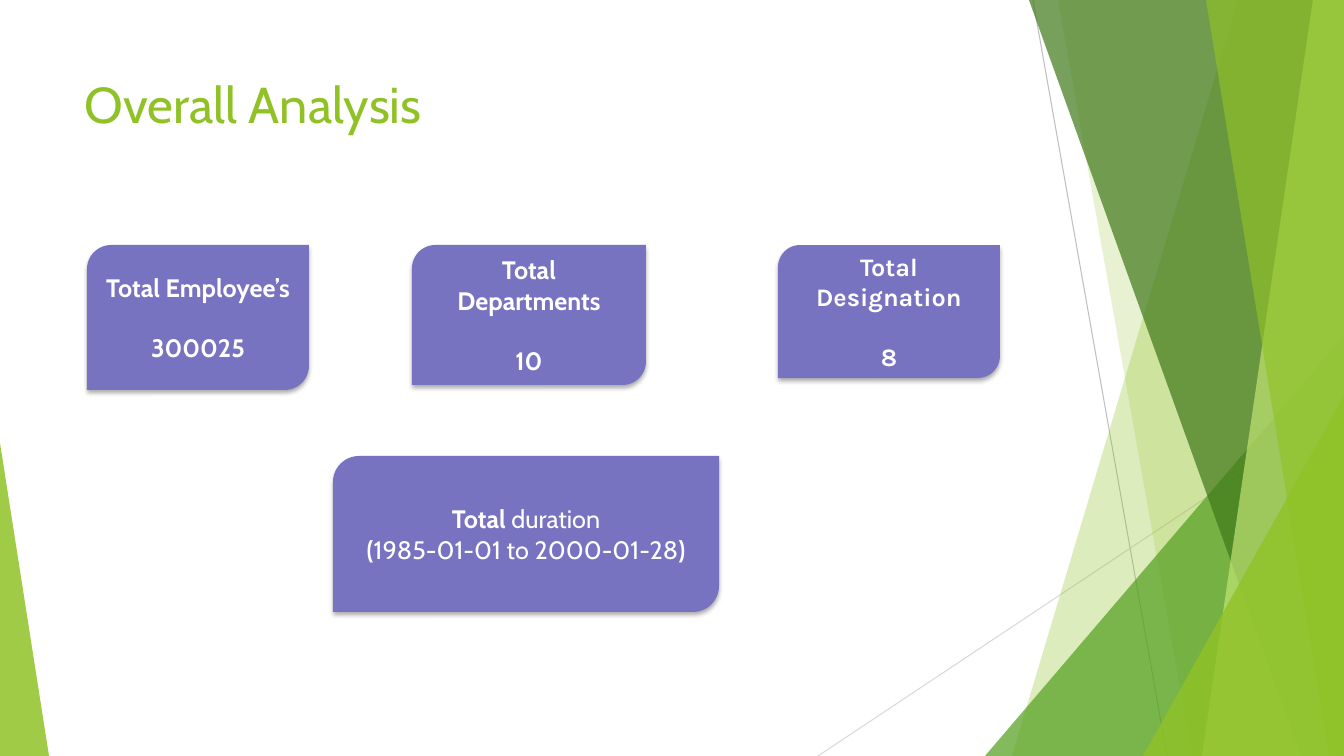
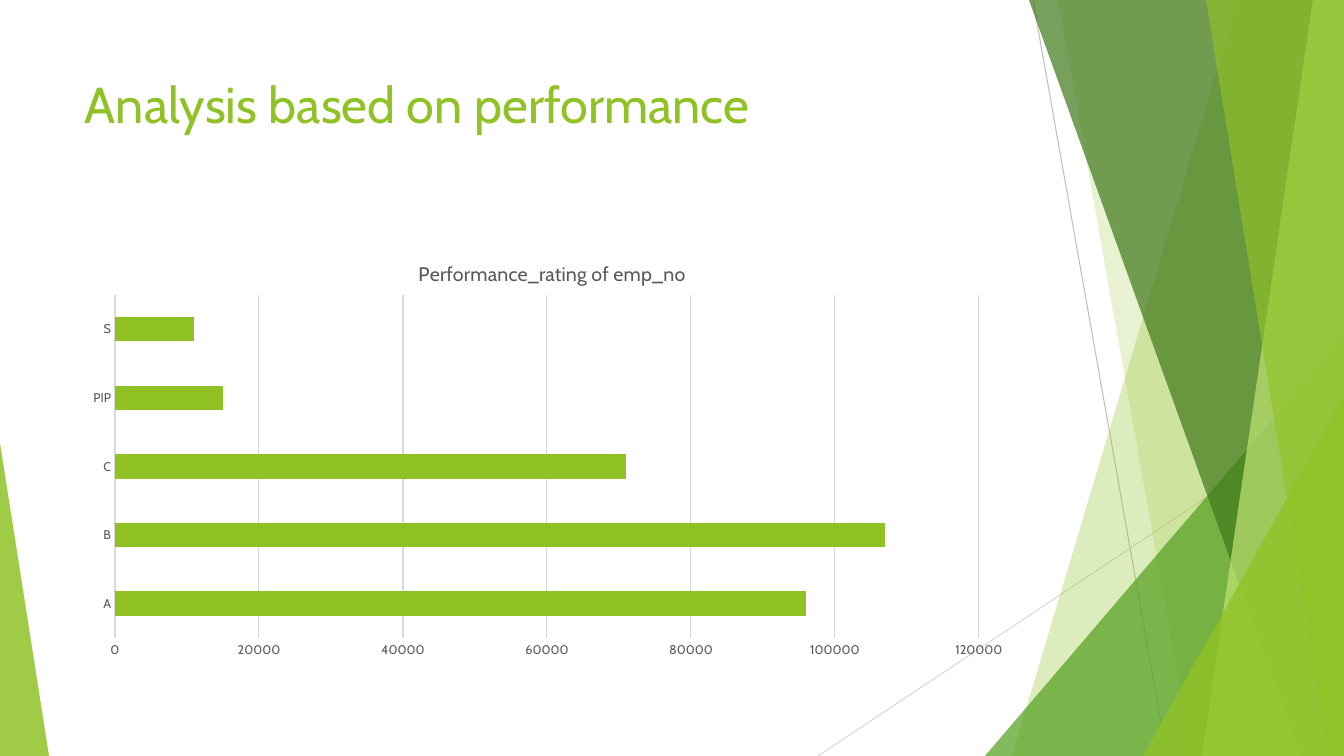
import dataclasses

import lxml.etree
import pptx
import pptx.chart.data
import pptx.dml.color
import pptx.enum.chart
import pptx.enum.shapes
import pptx.enum.text
import pptx.oxml
import pptx.oxml.ns
import pptx.util

PIXEL = 914400 / 100.8
WIDTH, HEIGHT = 1344, 756


@dataclasses.dataclass(frozen=True)
class Theme:
    """Colours, fonts and type sizes of the deck."""
    lime: str = "90C226"
    green: str = "54A021"
    forest: str = "3F7819"
    pale: str = "C0E474"
    purple: str = "7873C0"
    white: str = "FFFFFF"
    ink: str = "595959"
    rule: str = "D9D9D9"
    dark_rule: str = "BFBFBF"
    font: str = "Cabin"
    alternate_font: str = "Karla"
    title_size: float = 36
    card_size: float = 18
    card_gap: float = 21.5
    chart_title_size: float = 14
    axis_size: float = 9
    rule_width: float = 0.75


THEME = Theme()


def px(length):
    """Turn pixels into EMU."""
    return pptx.util.Emu(round(length * PIXEL))


def rgb(color):
    """Turn a hex string into a colour."""
    return pptx.dml.color.RGBColor.from_string(color)


def style_font(font, size, color, name=THEME.font, bold=False):
    """Set the face, size, colour and weight of a font."""
    font.name, font.size, font.bold = name, pptx.util.Pt(size), bold
    font.color.rgb = rgb(color)


def write_text(frame, text, size, color, name=THEME.font, align="LEFT", anchor="TOP", gap=0):
    """Write one paragraph per line, with bold spans between asterisks."""
    frame.word_wrap = True
    frame.vertical_anchor = getattr(pptx.enum.text.MSO_ANCHOR, anchor)
    for row, line in enumerate(text.split("\n")):
        para = frame.add_paragraph() if row else frame.paragraphs[0]
        para.alignment = getattr(pptx.enum.text.PP_ALIGN, align)
        para.space_before = pptx.util.Pt(gap if row else 0)
        for position, words in enumerate(line.split("*")):
            if words:
                span = para.add_run()
                span.text = words
                style_font(span.font, size, color, name, bold=position % 2 == 1)


def paint(shape, color, opacity=100):
    """Fill a shape without outline or shadow."""
    shape.shadow.inherit = False
    shape.fill.solid()
    shape.fill.fore_color.rgb = rgb(color)
    shape.line.fill.background()
    if opacity < 100:
        tone = shape._element.spPr.xpath("./a:solidFill/a:srgbClr")[0]
        alpha = lxml.etree.SubElement(tone, pptx.oxml.ns.qn("a:alpha"))
        alpha.set("val", str(opacity * 1000))


def add_rule(page, start, end, color):
    """Draw a thin straight line."""
    rule = page.shapes.add_connector(
        pptx.enum.shapes.MSO_CONNECTOR.STRAIGHT, *map(px, (*start, *end)))
    rule.line.color.rgb = rgb(color)
    rule.line.width = pptx.util.Pt(THEME.rule_width)
    lxml.etree.SubElement(rule._element.spPr, pptx.oxml.ns.qn("a:effectLst"))


def add_facet(page, top, bottom, color, opacity):
    """Draw a band from its left edge to the right side of the page."""
    builder = page.shapes.build_freeform(top, 0, scale=PIXEL)
    builder.add_line_segments([(WIDTH, 0), (WIDTH, HEIGHT), (bottom, HEIGHT)], close=True)
    paint(builder.convert_to_shape(), color, opacity)


def add_corner(page, left, top, right, peak, color, opacity):
    """Draw a triangle standing on the foot of the page."""
    corner = page.shapes.add_shape(
        pptx.enum.shapes.MSO_SHAPE.ISOSCELES_TRIANGLE,
        *map(px, (left, top, right - left, HEIGHT - top)))
    corner.adjustments[0] = peak
    paint(corner, color, opacity)


def add_backdrop(page):
    """Draw the green facets shared by all slides."""
    add_rule(page, (1033, 0), (1167, HEIGHT), THEME.dark_rule)
    add_rule(page, (WIDTH, 406), (818, HEIGHT), THEME.rule)
    add_facet(page, 1238, 1012, THEME.lime, 30)
    add_facet(page, 1058, 1192, THEME.lime, 20)
    add_corner(page, 985, 336, WIDTH, 1, THEME.green, 72)
    add_facet(page, 1029, 1301, THEME.forest, 70)
    add_facet(page, 1313, 1202, THEME.pale, 70)
    add_facet(page, 1206, 1329, THEME.lime, 65)
    add_corner(page, 1143, 396, WIDTH, 1, THEME.lime, 80)
    add_corner(page, 0, 443, 49, 0, THEME.lime, 85)


def add_page(deck, title, box):
    """Add a slide with its backdrop and title."""
    page = deck.slides.add_slide(deck.slide_layouts[6])
    add_backdrop(page)
    heading = page.shapes.add_textbox(*map(px, box))
    write_text(heading.text_frame, title, THEME.title_size, THEME.lime)
    return page


def add_card(page, box, text, name=THEME.font, gap=0):
    """Draw a purple card with a soft shadow and centred text."""
    card = page.shapes.add_shape(
        pptx.enum.shapes.MSO_SHAPE.ROUND_2_DIAG_RECTANGLE, *map(px, box))
    paint(card, THEME.purple)
    effects = card._element.spPr.find(pptx.oxml.ns.qn("a:effectLst"))
    effects.append(pptx.oxml.parse_xml(
        f'<a:outerShdw {pptx.oxml.ns.nsdecls("a")} blurRad="44450" dist="27940" '
        'dir="5400000" algn="ctr" rotWithShape="0"><a:srgbClr val="000000">'
        '<a:alpha val="32000"/></a:srgbClr></a:outerShdw>'))
    write_text(card.text_frame, text, THEME.card_size, THEME.white, name=name,
               align="CENTER", anchor="MIDDLE", gap=gap)


def place_part(part, index, box, **place):
    """Fix a chart part at a place given in pixels of the chart box."""
    for layout in part.xpath("./c:layout"):
        part.remove(layout)
    left, top, width, height = box
    spans = {"x": width, "w": width, "y": height, "h": height}
    target = '<c:layoutTarget val="inner"/>' if "w" in place else ""
    modes = "".join(f'<c:{key}Mode val="edge"/>' for key in "xy")
    sizes = "".join(f'<c:{key} val="{value / spans[key]:.4f}"/>' for key, value in place.items())
    part.insert(index, pptx.oxml.parse_xml(
        f'<c:layout {pptx.oxml.ns.nsdecls("c")}><c:manualLayout>'
        f'{target}{modes}{sizes}</c:manualLayout></c:layout>'))


def add_rating_chart(page, box, title, ratings):
    """Draw horizontal bars of staff numbers for each rating."""
    data = pptx.chart.data.CategoryChartData()
    data.categories = list(ratings)
    data.add_series("Series 1", list(ratings.values()))
    chart = page.shapes.add_chart(
        pptx.enum.chart.XL_CHART_TYPE.BAR_CLUSTERED, *map(px, box), data).chart
    style_font(chart.font, THEME.axis_size, THEME.ink)
    chart.has_legend = False
    chart.has_title = True
    write_text(chart.chart_title.text_frame, title, THEME.chart_title_size, THEME.ink,
               align="CENTER")

    plot = chart.plots[0]
    plot.gap_width, plot.vary_by_categories = 182, False
    bars = plot.series[0]
    bars.format.fill.solid()
    bars.format.fill.fore_color.rgb = rgb(THEME.lime)

    categories, values = chart.category_axis, chart.value_axis
    for axis in (categories, values):
        axis.major_tick_mark = axis.minor_tick_mark = pptx.enum.chart.XL_TICK_MARK.NONE
        style_font(axis.tick_labels.font, THEME.axis_size, THEME.ink)
    values.minimum_scale, values.maximum_scale, values.major_unit = 0, 120000, 20000
    values.format.line.fill.background()
    for line in (categories.format.line, values.major_gridlines.format.line):
        line.color.rgb = rgb(THEME.rule)
        line.width = pptx.util.Pt(THEME.rule_width)

    place_part(chart.chart_title._element, 1, box, x=340, y=19)
    place_part(chart._chartSpace.xpath(".//c:plotArea")[0], 0, box, x=40, y=57, w=864, h=343)


def build_overview(deck):
    """Build the slide of overall figures."""
    page = add_page(deck, "Overall Analysis", (75, 68, 1002, 108))
    row_top = 245
    cards = [
        (87, 222, 145, "Total Employee’s", "300025", THEME.font),
        (412, 234, 140, "Total Departments", "10", THEME.font),
        (778, 222, 133, "Total Designation", "8", THEME.alternate_font),
    ]
    for left, width, height, label, figure, name in cards:
        add_card(page, (left, row_top, width, height), f"*{label}*\n*{figure}*",
                 name=name, gap=THEME.card_gap)
    add_card(page, (333, 456, 386, 156), "*Total *duration\n*(*1985-01-01 to 2000-01-28*)*")


def build_performance(deck):
    """Build the slide of performance ratings."""
    page = add_page(deck, "Analysis based on performance", (75, 68, 948, 145))
    ratings = {"A": 96000, "B": 107000, "C": 71000, "PIP": 15000, "S": 11000}
    add_rating_chart(page, (75, 238, 948, 427), "Performance_rating of emp_no", ratings)


def main():
    """Build and save the deck."""
    deck = pptx.Presentation()
    deck.slide_width, deck.slide_height = px(WIDTH), px(HEIGHT)
    build_overview(deck)
    build_performance(deck)
    deck.save("out.pptx")


main()
